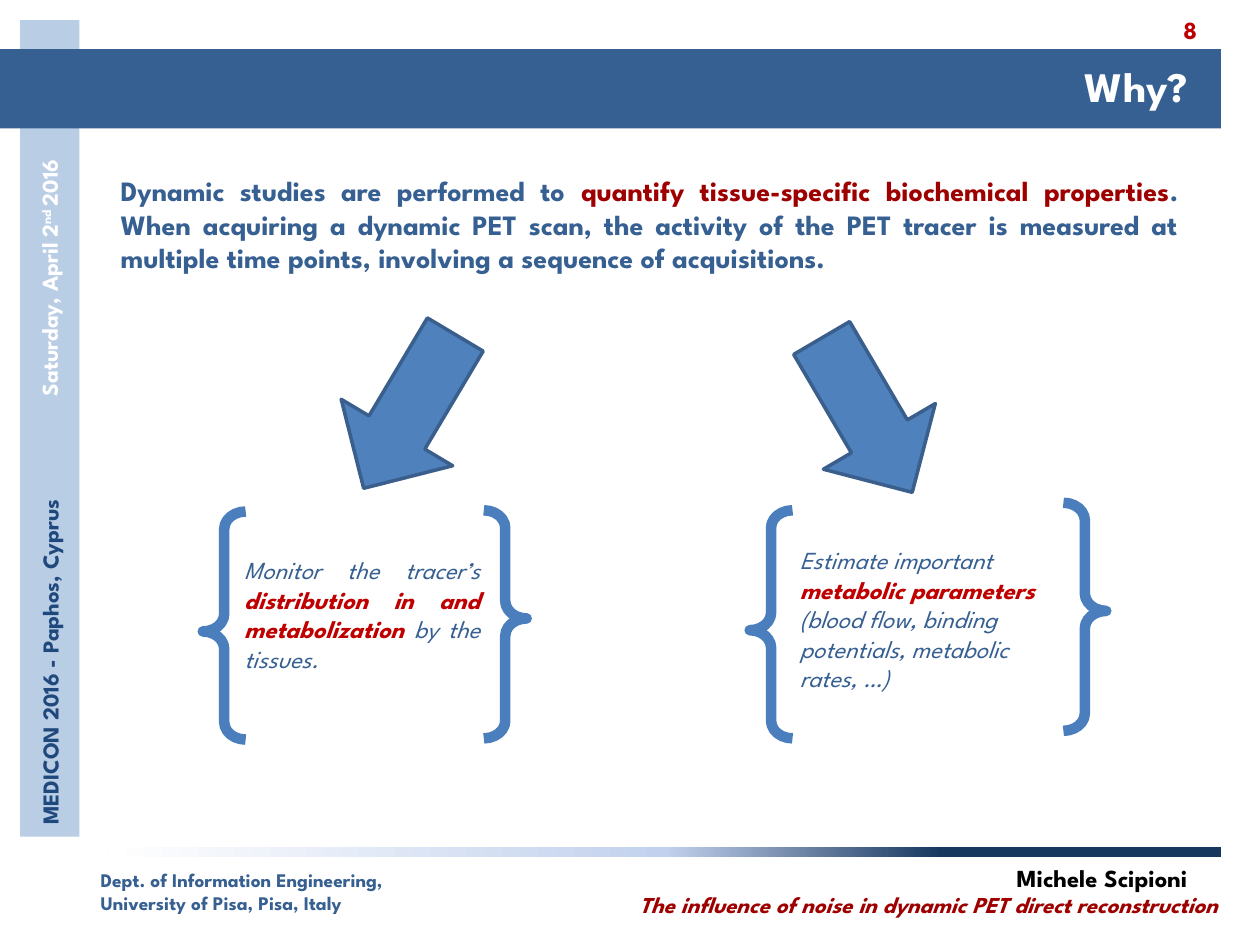
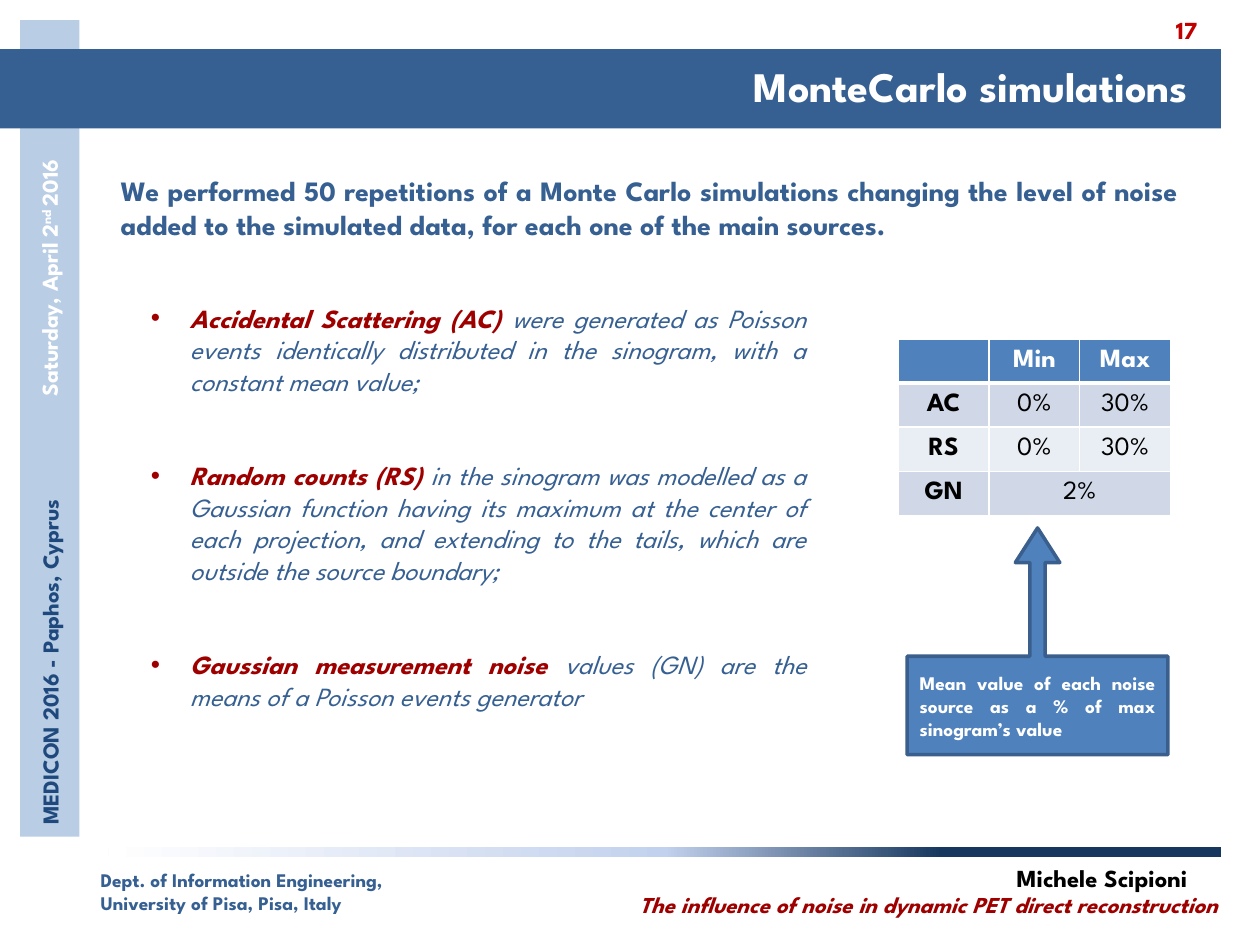
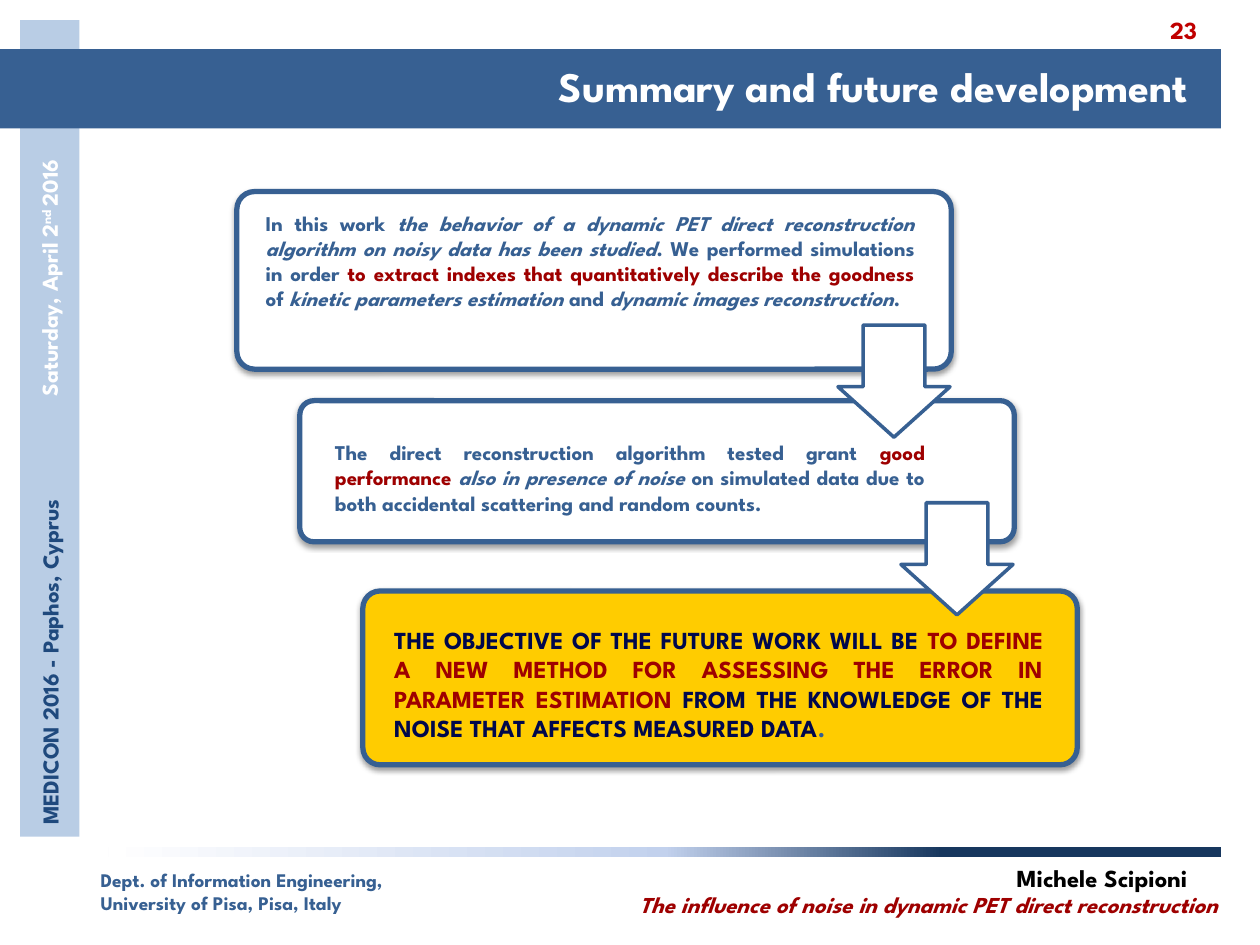
"""Builds three slides on noise in dynamic PET direct reconstruction."""

from dataclasses import dataclass

from lxml import etree
from pptx import Presentation
from pptx.dml.color import RGBColor
from pptx.enum.shapes import MSO_SHAPE
from pptx.enum.text import MSO_ANCHOR, MSO_AUTO_SIZE, PP_ALIGN
from pptx.oxml.ns import qn
from pptx.util import Inches, Pt

LEFT, CENTER, RIGHT, JUSTIFY = PP_ALIGN.LEFT, PP_ALIGN.CENTER, PP_ALIGN.RIGHT, PP_ALIGN.JUSTIFY
TOP, MIDDLE = MSO_ANCHOR.TOP, MSO_ANCHOR.MIDDLE
RECT, ROUNDED, BRACE = MSO_SHAPE.RECTANGLE, MSO_SHAPE.ROUNDED_RECTANGLE, MSO_SHAPE.LEFT_BRACE
RIGHT_ARROW, DOWN_ARROW = MSO_SHAPE.RIGHT_ARROW, MSO_SHAPE.DOWN_ARROW
UP_CALLOUT = MSO_SHAPE.UP_ARROW_CALLOUT
NO_AUTOFIT = MSO_AUTO_SIZE.NONE
TITLE_ONLY = 5


@dataclass(frozen=True)
class Theme:
    font: str = "League Spartan"
    blue: str = "376092"
    pale_blue: str = "B9CDE5"
    navy: str = "1F497D"
    ink: str = "00084C"
    accent: str = "4F81BD"
    accent_edge: str = "3A5F8C"
    brace: str = "4B7EBC"
    dark_red: str = "9E0000"
    red: str = "C00000"
    yellow: str = "FFCC00"
    white: str = "FFFFFF"
    black: str = "000000"
    row_dark: str = "D0D8E8"
    row_light: str = "E9EDF4"
    fade: tuple = ((25, "17375E"), (50, "C2D1ED"), (100, "FFFFFF"))
    title: int = 24
    lead: int = 16
    bullet: int = 15
    body: int = 14
    side: int = 13
    step: int = 12
    small: int = 11


THEME = Theme()


@dataclass(frozen=True)
class Box:
    left: float
    top: float
    width: float
    height: float
    rotation: float = 0

    def inches(self) -> tuple:
        return tuple(Inches(n) for n in (self.left, self.top, self.width, self.height))


@dataclass(frozen=True)
class Span:
    text: str
    color: str = THEME.blue
    bold: bool = True
    italic: bool = False
    raised: bool = False


@dataclass(frozen=True)
class Block:
    box: Box
    paragraphs: tuple
    size: int
    align: PP_ALIGN = LEFT
    anchor: MSO_ANCHOR = TOP
    gap: int = 0
    bulleted: bool = False


@dataclass(frozen=True)
class Figure:
    kind: MSO_SHAPE
    box: Box
    fill: str = ""
    line: str = ""
    weight: float = 2
    adjust: tuple = ()
    shadow: bool = False


def add_solid(parent, color: str) -> None:
    fill = etree.SubElement(parent, qn("a:solidFill"))
    etree.SubElement(fill, qn("a:srgbClr"), val=color)


def add_bullet(paragraph) -> None:
    properties = paragraph._p.get_or_add_pPr()
    indent = Inches(0.31)
    properties.set("marL", str(indent))
    properties.set("indent", str(-indent))
    etree.SubElement(properties, qn("a:buFont"), typeface="Arial")
    etree.SubElement(properties, qn("a:buChar"), char="•")


def style_run(run, span: Span, size: int) -> None:
    font = run.font
    font.name, font.size = THEME.font, Pt(size)
    font.bold, font.italic = span.bold, span.italic
    font.color.rgb = RGBColor.from_string(span.color)
    if span.raised:
        run._r.get_or_add_rPr().set("baseline", "30000")


def write(frame, block: Block) -> None:
    frame.word_wrap = True
    frame.auto_size = NO_AUTOFIT
    frame.vertical_anchor = block.anchor
    for index, spans in enumerate(block.paragraphs):
        paragraph = frame.add_paragraph() if index else frame.paragraphs[0]
        paragraph.alignment = block.align
        if index and block.gap:
            paragraph.space_before = Pt(block.gap)
        if block.bulleted:
            add_bullet(paragraph)
        for span in spans:
            run = paragraph.add_run()
            run.text = span.text
            style_run(run, span, block.size)


def add_text(slide, block: Block) -> None:
    label = slide.shapes.add_textbox(*block.box.inches())
    label.rotation = block.box.rotation
    write(label.text_frame, block)


def add_figure(slide, figure: Figure):
    shape = slide.shapes.add_shape(figure.kind, *figure.box.inches())
    shape.rotation = figure.box.rotation
    shape.shadow.inherit = False
    for index, value in enumerate(figure.adjust):
        shape.adjustments[index] = value
    if figure.fill:
        shape.fill.solid()
        shape.fill.fore_color.rgb = RGBColor.from_string(figure.fill)
    else:
        shape.fill.background()
    if figure.line:
        shape.line.color.rgb = RGBColor.from_string(figure.line)
        shape.line.width = Pt(figure.weight)
    else:
        shape.line.fill.background()
    if figure.shadow:
        effects = shape.element.spPr.find(qn("a:effectLst"))
        cast = etree.SubElement(effects, qn("a:outerShdw"), blurRad=str(Pt(3.1)), dist=str(Pt(1.6)),
                                dir="5400000", rotWithShape="0")
        shade = etree.SubElement(cast, qn("a:srgbClr"), val=THEME.black)
        etree.SubElement(shade, qn("a:alpha"), val="38000")
    return shape


def add_fading_rule(slide) -> None:
    rule = add_figure(slide, Figure(RECT, Box(0.86, 6.72, 8.83, 0.08)))
    rule.fill.gradient()
    rule.fill.gradient_angle = 180
    stops = rule.element.spPr.find(".//" + qn("a:gsLst"))
    stops.clear()
    for position, color in THEME.fade:
        stop = etree.SubElement(stops, qn("a:gs"), pos=str(position * 1000))
        etree.SubElement(stop, qn("a:srgbClr"), val=color)


FOOTERS = (
    Block(Box(0.7, 6.84, 2.73, 0.47),
          ((Span("Dept. of Information Engineering,"),), (Span("University of Pisa, Pisa, Italy"),)),
          THEME.small, anchor=MIDDLE),
    Block(Box(3.2, 7.02, 6.56, 0.32),
          ((Span("The influence of noise in dynamic PET direct reconstruction", THEME.dark_red, italic=True),),),
          THEME.side, RIGHT),
    Block(Box(7.97, 6.8, 1.77, 0.34), ((Span("Michele Scipioni", THEME.black),),), THEME.body),
    Block(Box(-1.17, 4.92, 3.13, 0.32, 270),
          ((Span("MEDICON 2016 - Paphos, Cyprus", THEME.navy),),), THEME.side),
    Block(Box(-0.82, 2.22, 2.42, 0.32, 270),
          ((Span("Saturday, April 2", THEME.white), Span("nd ", THEME.white, raised=True),
            Span("2016", THEME.white)),), THEME.side, RIGHT),
)


def start_slide(deck, title: str, number: int):
    slide = deck.slides.add_slide(deck.slide_layouts[TITLE_ONLY])
    add_figure(slide, Figure(RECT, Box(0.16, 0.16, 0.47, 6.48), THEME.pale_blue))
    add_figure(slide, Figure(RECT, Box(0, 0.39, 9.69, 0.63), THEME.blue))
    add_fading_rule(slide)
    for footer in FOOTERS:
        add_text(slide, footer)
    add_text(slide, Block(Box(8.75, 0.08, 0.85, 0.31), ((Span(str(number), THEME.red),),),
                          THEME.body, RIGHT, MIDDLE))
    heading = slide.shapes.title
    box = Box(1.8, 0.43, 7.73, 0.5)
    heading.left, heading.top, heading.width, heading.height = box.inches()
    write(heading.text_frame, Block(box, ((Span(title, THEME.white),),), THEME.title, RIGHT, MIDDLE))
    heading.element.getparent().append(heading.element)
    return slide


def add_lead(slide, *spans: Span) -> None:
    add_text(slide, Block(Box(0.86, 1.33, 8.59, 0.91), (spans,), THEME.lead, JUSTIFY))


def build_why(deck) -> None:
    slide = start_slide(deck, "Why?", 8)
    add_lead(
        slide,
        Span("Dynamic studies are performed to "),
        Span("quantify tissue-specific biochemical properties", THEME.dark_red),
        Span(". When acquiring a dynamic PET scan, the activity of the PET tracer is measured at "
             "multiple time points, involving a sequence of acquisitions."))
    for left, top, angle in ((2.54, 2.75, 120.8), (6.17, 2.78, 59.6)):
        add_figure(slide, Figure(RIGHT_ARROW, Box(left, top, 1.42, 1.03, angle),
                                 THEME.accent, THEME.accent_edge))
    for left, top, angle in ((1.61, 4.06, 0), (3.84, 4.05, 180), (5.95, 4.05, 0), (8.44, 3.99, 180)):
        add_figure(slide, Figure(BRACE, Box(left, top, 0.34, 1.81, angle), line=THEME.brace,
                                 weight=6, adjust=(0.408, 0.526)))
    add_text(slide, Block(Box(1.84, 4.36, 2.07, 1.04), ((
        Span("Monitor the tracer’s ", bold=False, italic=True),
        Span("distribution in and metabolization", THEME.red, italic=True),
        Span(" by the tissues.", bold=False, italic=True)),), THEME.body, JUSTIFY))
    add_text(slide, Block(Box(6.25, 4.28, 2.34, 1.28), ((
        Span("Estimate important ", bold=False, italic=True),
        Span("metabolic parameters ", THEME.red, italic=True),
        Span("(blood flow, binding potentials, metabolic rates, …)", bold=False, italic=True)),),
        THEME.body))


def add_noise_table(slide, rows: tuple) -> None:
    box = Box(7.13, 2.69, 2.16, 1.4)
    table = slide.shapes.add_table(len(rows), len(rows[0]), *box.inches()).table
    for r, row in enumerate(rows):
        fill = THEME.accent if r == 0 else THEME.row_dark if r % 2 else THEME.row_light
        for c, text in enumerate(row):
            cell = table.cell(r, c)
            cell.margin_top = cell.margin_bottom = 0
            cell.vertical_anchor = MIDDLE
            properties = cell._tc.get_or_add_tcPr()
            thick_side = {0: "B", 1: "T"}.get(r)
            for side in "LRTB":
                width = Pt(3 if side == thick_side else 1)
                add_solid(etree.SubElement(properties, qn("a:ln" + side), w=str(width)), THEME.white)
            cell.fill.solid()
            cell.fill.fore_color.rgb = RGBColor.from_string(fill)
            paragraph = cell.text_frame.paragraphs[0]
            paragraph.alignment = CENTER
            if text:
                paragraph.text = text
                color = THEME.black if r else THEME.white
                style_run(paragraph.runs[0], Span(text, color, r == 0 or c == 0), THEME.bullet)
    table.cell(3, 1).merge(table.cell(3, 2))


def build_simulations(deck) -> None:
    slide = start_slide(deck, "MonteCarlo simulations", 17)
    add_lead(slide, Span("We performed 50 repetitions of a Monte Carlo simulations changing the level of "
                         "noise added to the simulated data, for each one of the main sources."))
    sources = (
        ("Accidental Scattering (AC) ",
         "were generated as Poisson events identically distributed in the sinogram, "
         "with a constant mean value;"),
        ("Random counts (RS) ",
         "in the sinogram was modelled as a Gaussian function having its maximum at the center of "
         "each projection, and extending to the tails, which are outside the source boundary;"),
        ("Gaussian measurement noise ",
         "values (GN) are the means of a Poisson events generator"),
    )
    paragraphs = tuple((Span(name, THEME.dark_red, italic=True), Span(detail, bold=False, italic=True))
                       for name, detail in sources)
    add_text(slide, Block(Box(1.1, 2.35, 5.4, 3.64), paragraphs, THEME.bullet, JUSTIFY,
                          gap=36, bulleted=True))
    add_noise_table(slide, (("", "Min", "Max"), ("AC", "0%", "30%"), ("RS", "0%", "30%"), ("GN", "2%", "")))
    box = Box(7.2, 4.19, 2.07, 1.8)
    callout = add_figure(slide, Figure(UP_CALLOUT, box, THEME.accent, THEME.accent_edge,
                                       adjust=(0.067, 0.098, 0.153, 0.434)))
    caption = Span("Mean value of each noise source as a % of max sinogram’s value", THEME.white)
    write(callout.text_frame, Block(box, ((caption,),), THEME.small, JUSTIFY, MIDDLE))


def build_summary(deck) -> None:
    slide = start_slide(deck, "Summary and future development", 23)
    shift = 0.5
    panels = ((1.52, 1.41, THEME.white), (3.18, 1.12, THEME.white), (4.69, 1.38, THEME.yellow))
    for index, (top, height, fill) in enumerate(panels):
        add_figure(slide, Figure(ROUNDED, Box(1.88 + index * shift, top, 5.67, height), fill,
                                 THEME.blue, 3, (0.1,), shadow=True))
    for index, top in enumerate((2.58, 3.99)):
        add_figure(slide, Figure(DOWN_ARROW, Box(6.65 + index * shift, top, 0.89, 0.89),
                                 THEME.white, THEME.blue, adjust=(0.55, 0.45)))
    add_text(slide, Block(Box(2.01, 1.62, 5.35, 1.11), ((
        Span("In this work "),
        Span("the behavior of a dynamic PET direct reconstruction algorithm on noisy data "
             "has been studied", italic=True),
        Span(". We performed simulations in order "),
        Span("to extract indexes that quantitatively describe the goodness ", THEME.dark_red),
        Span("of "),
        Span("kinetic parameters estimation ", italic=True),
        Span("and "),
        Span("dynamic images reconstruction", italic=True),
        Span(".")),), THEME.step, JUSTIFY))
    add_text(slide, Block(Box(2.56, 3.44, 4.88, 0.71), ((
        Span("The direct reconstruction algorithm tested grant "),
        Span("good performance ", THEME.dark_red),
        Span("also in presence of noise ", italic=True),
        Span("on simulated data due to both accidental scattering and random counts.")),),
        THEME.step, JUSTIFY))
    add_text(slide, Block(Box(3.03, 4.91, 5.35, 1.04), ((
        Span("THE OBJECTIVE OF THE FUTURE WORK WILL BE ", THEME.ink),
        Span("TO DEFINE A NEW METHOD FOR ASSESSING THE ERROR IN PARAMETER ESTIMATION ", THEME.dark_red),
        Span("FROM THE KNOWLEDGE OF THE NOISE THAT AFFECTS MEASURED DATA", THEME.ink),
        Span(".")),), THEME.body, JUSTIFY))


def main() -> None:
    deck = Presentation()
    deck.slide_width, deck.slide_height = Inches(10), Inches(7.5)
    build_why(deck)
    build_simulations(deck)
    build_summary(deck)
    deck.save("out.pptx")


if __name__ == "__main__":
    main()
